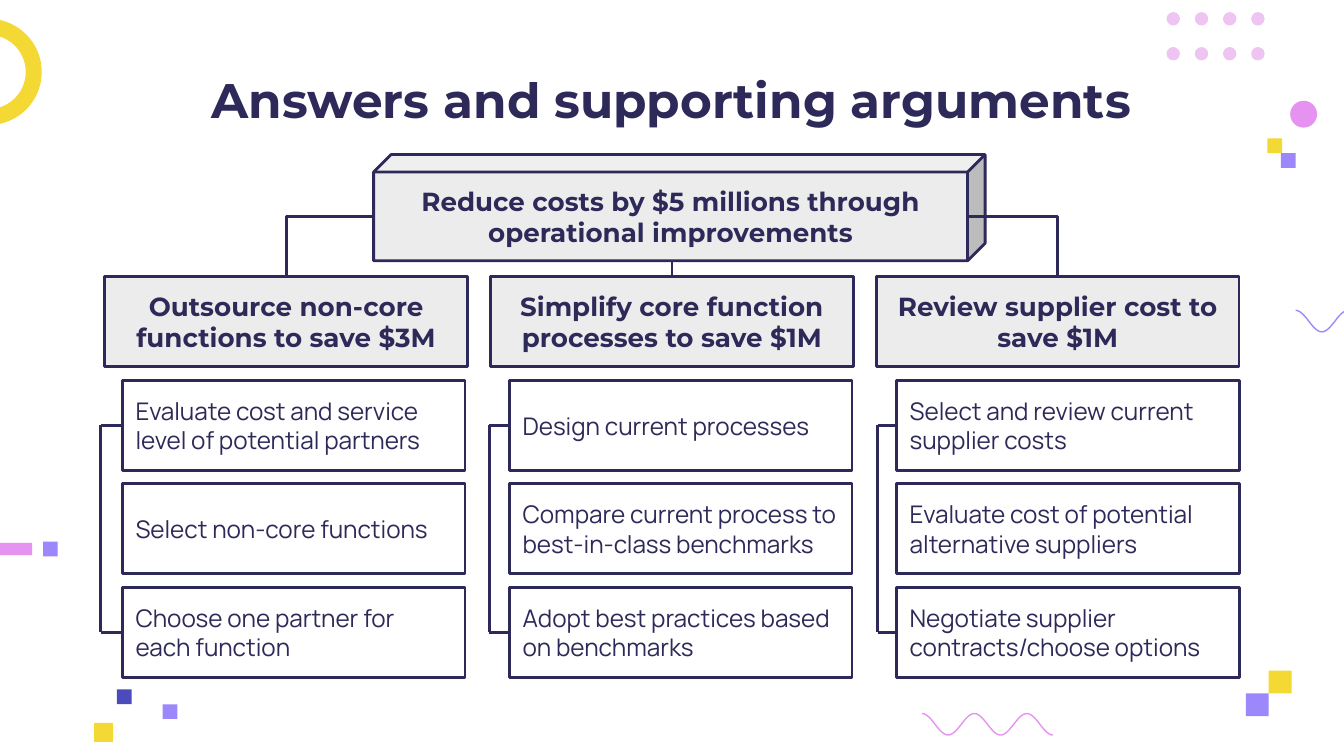
"""Build a slide showing an answer and its supporting arguments as a tree."""
import math

import lxml.etree
import pptx
import pptx.dml.color
import pptx.enum.shapes
import pptx.enum.text
import pptx.oxml.ns
import pptx.util

INK, PANEL = "2D2958", "ECECEC"
YELLOW, PINK, PALE, VIOLET, BLUE = "F4D834", "E592F1", "EDC4F2", "9C88FA", "4B4BBB"
TITLE = "Answers and supporting arguments"
ANSWER = "Reduce costs by $5 millions through operational improvements"
BRANCHES = [
    ("Outsource non-core functions to save $3M",
     ["Evaluate cost and service level of potential partners",
      "Select non-core functions",
      "Choose one partner for each function"]),
    ("Simplify core function processes to save $1M",
     ["Design current processes",
      "Compare current process to best-in-class benchmarks",
      "Adopt best practices based on benchmarks"]),
    ("Review supplier cost to save $1M",
     ["Select and review current supplier costs",
      "Evaluate cost of potential alternative suppliers",
      "Negotiate supplier contracts/choose options"]),
]
SQUARES = [
    (0.32, 4.03, 0.11, VIOLET), (0.7, 5.38, 0.14, YELLOW), (1.21, 5.24, 0.11, VIOLET),
    (0.87, 5.13, 0.11, BLUE), (9.44, 4.99, 0.17, YELLOW), (9.27, 5.16, 0.17, VIOLET),
    (9.53, 1.14, 0.11, VIOLET), (9.43, 1.03, 0.11, YELLOW),
]
WAVES = [(6.86, 5.31, PINK), (9.64, 2.31, VIOLET)]
WAVE_PERIOD, WAVE_HEIGHT, WAVE_STEPS = 0.39, 0.16, 60

SLIDE_WIDTH = 10
SLIDE_HEIGHT = SLIDE_WIDTH * 9 / 16
HEADER_LEFT, HEADER_PITCH, HEADER_WIDTH = 0.78, 2.87, 2.7
ITEM_LEFT, ITEM_PITCH, ITEM_WIDTH = 0.91, 2.88, 2.55
SPINE_LEFT, SPINE_PITCH = 0.75, 2.89
TOP, ROW_PITCH, BOX_HEIGHT = 2.06, 0.77, 0.67
CUBE = (2.78, 1.15, 4.55, 0.79)
CUBE_DEPTH, CUBE_SIDE_Y = 0.13, 1.61

KIND = pptx.enum.shapes.MSO_SHAPE
LINK = pptx.enum.shapes.MSO_CONNECTOR
ALIGN = pptx.enum.text.PP_ALIGN
inches = pptx.util.Inches


def color(value):
    """Turn a hex string into a colour."""
    return pptx.dml.color.RGBColor.from_string(value)


def add_shape(page, kind, area, fill=None, line=None):
    """Add a preset shape without a shadow."""
    shape = page.shapes.add_shape(kind, *map(inches, area))
    shape.shadow.inherit = False
    paint(shape, fill, line)
    return shape


def paint(shape, fill, line, width=1.5):
    """Set the fill and outline, leaving out what is None."""
    if fill:
        shape.fill.solid()
        shape.fill.fore_color.rgb = color(fill)
    else:
        shape.fill.background()
    if line:
        shape.line.color.rgb = color(line)
        shape.line.width = pptx.util.Pt(width)
    else:
        shape.line.fill.background()


def write(shape, text, font, size, bold, align):
    """Write one paragraph, vertically centred."""
    frame = shape.text_frame
    frame.word_wrap = True
    frame.vertical_anchor = pptx.enum.text.MSO_ANCHOR.MIDDLE
    frame.margin_left = frame.margin_right = inches(0.1)
    frame.margin_top = frame.margin_bottom = inches(0.1)
    para = frame.paragraphs[0]
    para.alignment = align
    span = para.add_run()
    span.text = text
    span.font.name = font
    span.font.size = pptx.util.Pt(size)
    span.font.bold = bold
    span.font.color.rgb = color(INK)


def write_heading(shape, text, size=14):
    """Write a bold centred heading."""
    write(shape, text, "Montserrat", size, True, ALIGN.CENTER)


def add_link(page, kind, start=(0, 0), end=(0, 0)):
    """Add a connector in the ink colour without a shadow."""
    link = page.shapes.add_connector(kind, *map(inches, start + end))
    link.line.color.rgb = color(INK)
    link.line.width = pptx.util.Pt(1.5)
    lxml.etree.SubElement(link._element.spPr, pptx.oxml.ns.qn("a:effectLst"))
    return link


def add_bracket(page, column, first, last):
    """Join the left sides of two boxes with a spine and two stubs."""
    x = SPINE_LEFT + column * SPINE_PITCH
    ends = []
    for box in (first, last):
        y = (box.top + box.height / 2) / inches(1)
        stub = add_link(page, LINK.STRAIGHT, (x, y), (x, y))
        stub.end_connect(box, 1)
        ends.append((x, y))
    add_link(page, LINK.STRAIGHT, *ends)


def add_branch_link(page, cube, site, x, header):
    """Join a side of the cube to the top of a header with one bend."""
    link = add_link(page, LINK.ELBOW)
    link.begin_connect(cube, 1)
    link.end_connect(header, 0)
    link.begin_x, link.begin_y = inches(x), inches(CUBE_SIDE_Y)
    link._element.find(".//" + pptx.oxml.ns.qn("a:stCxn")).set("idx", str(site))
    link._element.spPr.find(pptx.oxml.ns.qn("a:prstGeom")).set("prst", "bentConnector2")


def add_wave(page, left, top, line):
    """Draw two and a half periods of a wave."""
    points = []
    for step in range(WAVE_STEPS + 1):
        turns = 2.5 * step / WAVE_STEPS
        y = top + WAVE_HEIGHT * (1 - math.cos(2 * math.pi * turns)) / 2
        points.append((inches(left + turns * WAVE_PERIOD), inches(y)))
    builder = page.shapes.build_freeform(*points[0])
    builder.add_line_segments(points[1:], close=False)
    wave = builder.convert_to_shape()
    wave.shadow.inherit = False
    paint(wave, None, line, 0.75)


def add_decoration(page):
    """Scatter the ornaments around the edges."""
    ring = add_shape(page, KIND.DONUT, (-0.48, 0.14, 0.79, 0.79), YELLOW)
    ring.adjustments[0] = 0.15
    add_shape(page, KIND.RECTANGLE, (-0.63, 4.04, 0.87, 0.09), PINK)
    add_shape(page, KIND.OVAL, (9.6, 0.75, 0.2, 0.2), PINK)
    for row in range(2):
        for column in range(4):
            area = (8.68 + 0.21 * column, 0.09 + 0.26 * row, 0.1, 0.1)
            add_shape(page, KIND.OVAL, area, PALE)
    for left, top, side, fill in SQUARES:
        add_shape(page, KIND.RECTANGLE, (left, top, side, side), fill)
    for wave in WAVES:
        add_wave(page, *wave)


def add_branch(page, column, heading, items):
    """Add one column of boxes and return its header."""
    area = (HEADER_LEFT + column * HEADER_PITCH, TOP, HEADER_WIDTH, BOX_HEIGHT)
    header = add_shape(page, KIND.RECTANGLE, area, PANEL, INK)
    write_heading(header, heading)
    left = ITEM_LEFT + column * ITEM_PITCH
    boxes = []
    for row, text in enumerate(items, 1):
        area = (left, TOP + row * ROW_PITCH, ITEM_WIDTH, BOX_HEIGHT)
        box = add_shape(page, KIND.RECTANGLE, area, None, INK)
        write(box, text, "Manrope", 13, False, ALIGN.LEFT)
        boxes.append(box)
    add_bracket(page, column, boxes[0], boxes[-1])
    return header


def main():
    """Build and save the deck."""
    deck = pptx.Presentation()
    deck.slide_width, deck.slide_height = inches(SLIDE_WIDTH), inches(SLIDE_HEIGHT)
    page = deck.slides.add_slide(deck.slide_layouts[6])
    add_decoration(page)
    title = page.shapes.add_textbox(*map(inches, (0.83, 0.42, 8.34, 0.63)))
    write_heading(title, TITLE, 26)
    headers = [add_branch(page, column, *branch) for column, branch in enumerate(BRANCHES)]
    stem = add_link(page, LINK.STRAIGHT, (5, 1.81), (5, TOP))
    stem.end_connect(headers[1], 0)
    cube = add_shape(page, KIND.CUBE, CUBE, PANEL, INK)
    cube.adjustments[0] = CUBE_DEPTH / CUBE[3]
    write_heading(cube, ANSWER)
    add_branch_link(page, cube, 2, CUBE[0], headers[0])
    add_branch_link(page, cube, 4, CUBE[0] + CUBE[2] - CUBE_DEPTH, headers[2])
    deck.save("out.pptx")


if __name__ == "__main__":
    main()
